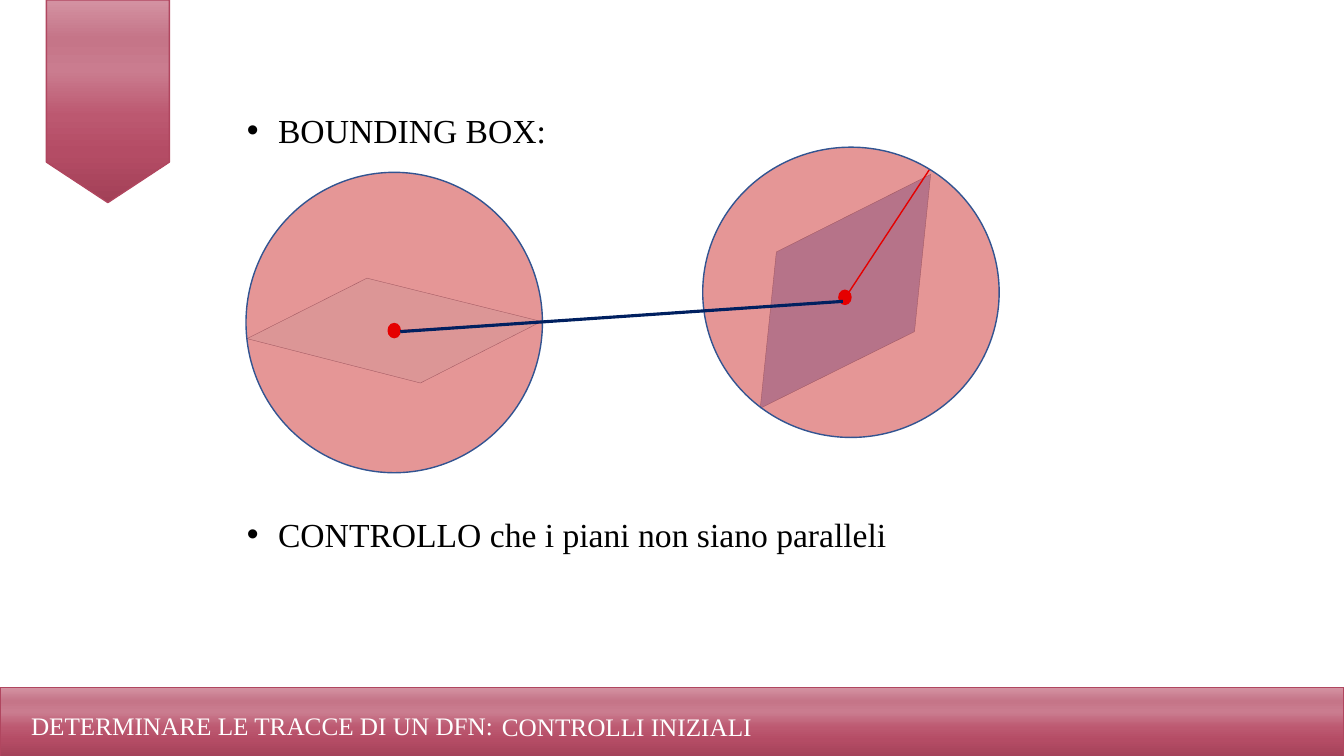
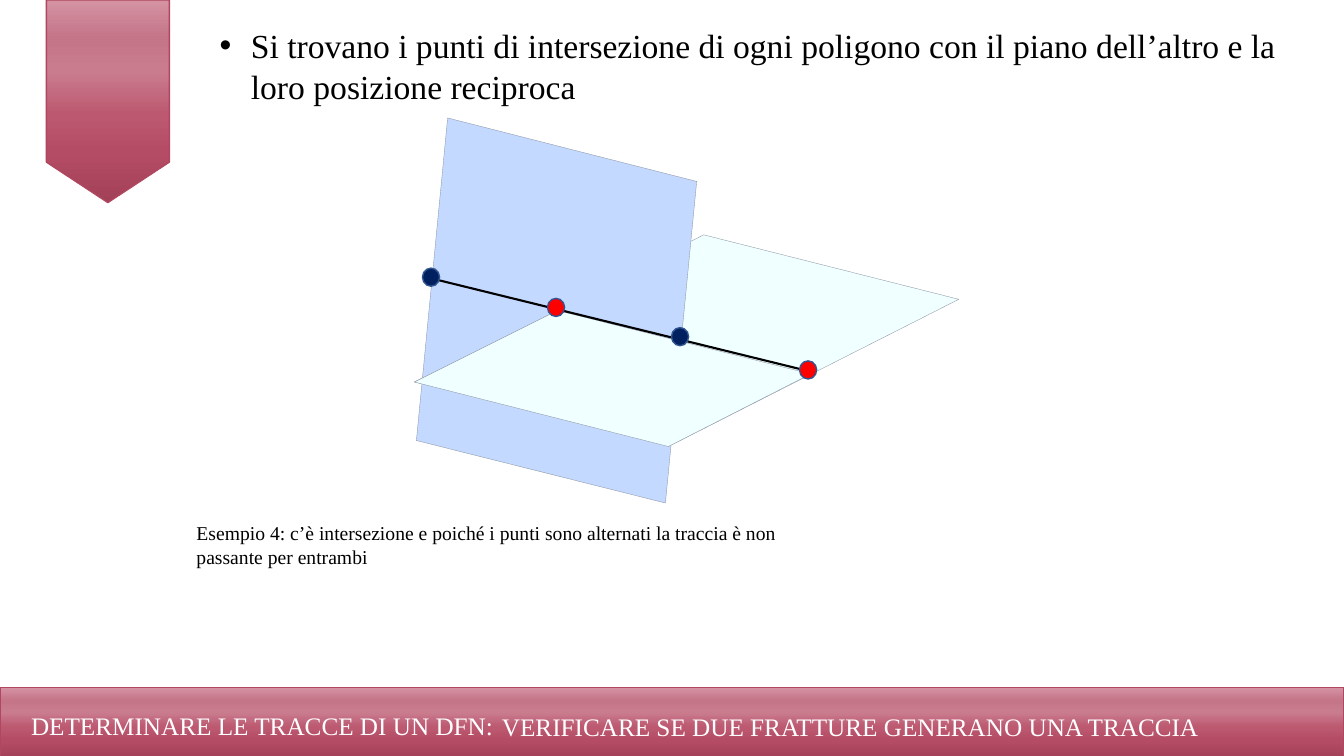
from lxml import etree
from pptx import Presentation
from pptx.dml.color import RGBColor
from pptx.enum.shapes import MSO_CONNECTOR, MSO_SHAPE
from pptx.oxml.ns import qn
from pptx.util import Inches, Pt

FONT = "Times New Roman"
BLACK, WHITE, RED, NAVY = "000000", "FFFFFF", "FF0000", "002060"
OUTLINE, EDGE, PLUM = "325491", "8C96A5", "B0465F"
AQUA, SKY, STEEL, CRIMSON = "F0FFFF", "C4D9FF", "B0C4EA", "C00000"
GRADIENT = [(0, "A24057"), (25, "B44C65"), (43, "BC5870"),
            (65, "CA7C8F"), (81, "C57588"), (99, "D391A1")]


def paint(sp, fill, line, width=1, alpha=None):
    sp.shadow.inherit = False
    sp.line.color.rgb = RGBColor.from_string(line)
    sp.line.width = Pt(width)
    if fill == GRADIENT:
        sp.fill.gradient()
        sp.fill.gradient_angle = 90
        stops = sp._element.spPr.find(qn("a:gradFill")).find(qn("a:gsLst"))
        for stop in list(stops):
            stops.remove(stop)
        for pos, color in fill:
            stop = etree.SubElement(stops, qn("a:gs"), pos=str(pos * 1000))
            etree.SubElement(stop, qn("a:srgbClr"), val=color)
        return
    sp.fill.solid()
    sp.fill.fore_color.rgb = RGBColor.from_string(fill)
    if alpha:
        color = sp._element.spPr.find(qn("a:solidFill")).find(qn("a:srgbClr"))
        etree.SubElement(color, qn("a:alpha"), val=str(alpha * 1000))


def add_text(s, text, x, y, w, h, size, color=BLACK, bullet=False):
    tf = s.shapes.add_textbox(Inches(x), Inches(y), Inches(w), Inches(h)).text_frame
    tf.word_wrap = True
    p = tf.paragraphs[0]
    p.text = text
    p.font.name = FONT
    p.font.size = Pt(size)
    p.font.color.rgb = RGBColor.from_string(color)
    if bullet:
        pPr = p._p.get_or_add_pPr()
        pPr.set("marL", str(Inches(0.31)))
        pPr.set("indent", str(-Inches(0.31)))
        bu_font = etree.Element(qn("a:buFont"), typeface="Arial")
        bu_char = etree.Element(qn("a:buChar"), char="•")
        pPr.insert(0, bu_font)
        pPr.insert(1, bu_char)


slides = [
    {
        "title": "CONTROLLI INIZIALI",
        "bullets": [("BOUNDING BOX:", 2.35, 1.04, 6.61, 0.5),
                    ("CONTROLLO che i piani non siano paralleli", 2.35, 5.05, 6.8, 0.5)],
        "caption": None,
        "drawing": [
            ("polygon", [(3.64, 2.76), (5.37, 3.19), (4.17, 3.8), (2.45, 3.36)], AQUA),
            ("polygon", [(7.7, 2.5), (9.23, 1.73), (9.07, 3.29), (7.54, 4.05)], STEEL),
            ("oval", (3.85, 3.21, 0.12, 0.14), RED, RED, None),
            ("oval", (8.32, 2.88, 0.12, 0.14), RED, RED, None),
            ("line", (3.85, 3.29, 5.29, 3.2), RED, 1),
            ("line", (8.36, 2.99, 9.22, 1.68), RED, 1),
            ("oval", (2.44, 1.71, 2.94, 2.98), CRIMSON, OUTLINE, 41),
            ("oval", (6.97, 1.46, 2.94, 2.88), CRIMSON, OUTLINE, 41),
            ("line", (3.97, 3.29, 8.36, 2.99), NAVY, 2.25),
        ],
    },
    {
        "title": "VERIFICARE SE DUE FRATTURE GENERANO UNA TRACCIA",
        "bullets": [("Si trovano i punti di intersezione di ogni poligono con il piano "
                     "dell’altro e la loro posizione reciproca", 2.08, 0.2, 10.79, 0.91)],
        "caption": "Esempio 4: c’è intersezione e poiché i punti sono alternati "
                   "la traccia è non passante per entrambi",
        "drawing": [
            ("polygon", [(6.98, 2.33), (9.51, 2.97), (6.63, 4.43), (4.11, 3.79)], AQUA),
            ("polygon", [(4.44, 1.17), (6.91, 1.8), (6.6, 4.99), (4.13, 4.37)], SKY),
            ("polygon", [(5.53, 3.08), (8.04, 3.71), (6.63, 4.43), (4.11, 3.79)], AQUA),
            ("line", (4.23, 2.75, 7.93, 3.66), BLACK, 1.5),
            ("oval", (4.19, 2.66, 0.17, 0.18), NAVY, OUTLINE, None),
            ("oval", (7.93, 3.58, 0.17, 0.18), RED, OUTLINE, None),
            ("oval", (6.66, 3.25, 0.17, 0.18), NAVY, OUTLINE, None),
            ("oval", (5.43, 2.96, 0.17, 0.18), RED, OUTLINE, None),
        ],
    },
]

prs = Presentation()
prs.slide_width = Inches(13.33)
prs.slide_height = Inches(7.5)

for content in slides:
    s = prs.slides.add_slide(prs.slide_layouts[6])
    for kind, x, y, w, h in [(MSO_SHAPE.FLOWCHART_OFFPAGE_CONNECTOR, 0.46, 0, 1.22, 2.01),
                             (MSO_SHAPE.RECTANGLE, 0, 6.82, 13.33, 0.7)]:
        sp = s.shapes.add_shape(kind, Inches(x), Inches(y), Inches(w), Inches(h))
        paint(sp, GRADIENT, PLUM)
    add_text(s, "DETERMINARE LE TRACCE DI UN DFN:", 0.21, 7, 4.9, 0.4, 18, WHITE)
    add_text(s, content["title"], 4.88, 7.01, 7.6, 0.4, 18, WHITE)
    for text, x, y, w, h in content["bullets"]:
        add_text(s, text, x, y, w, h, 24, bullet=True)
    if content["caption"]:
        add_text(s, content["caption"], 1.85, 5.12, 6.25, 0.57, 14)

    for kind, place, color, *style in content["drawing"]:
        if kind == "polygon":
            points = [(Inches(x), Inches(y)) for x, y in place]
            builder = s.shapes.build_freeform(*points[0])
            builder.add_line_segments(points[1:], close=True)
            paint(builder.convert_to_shape(), color, EDGE, 0.25)
        elif kind == "oval":
            line, alpha = style
            sp = s.shapes.add_shape(MSO_SHAPE.OVAL, *[Inches(v) for v in place])
            paint(sp, color, line, alpha=alpha)
        else:
            sp = s.shapes.add_connector(MSO_CONNECTOR.STRAIGHT, *[Inches(v) for v in place])
            sp.line.color.rgb = RGBColor.from_string(color)
            sp.line.width = Pt(style[0])
            etree.SubElement(sp._element.spPr, qn("a:effectLst"))

prs.save("out.pptx")
